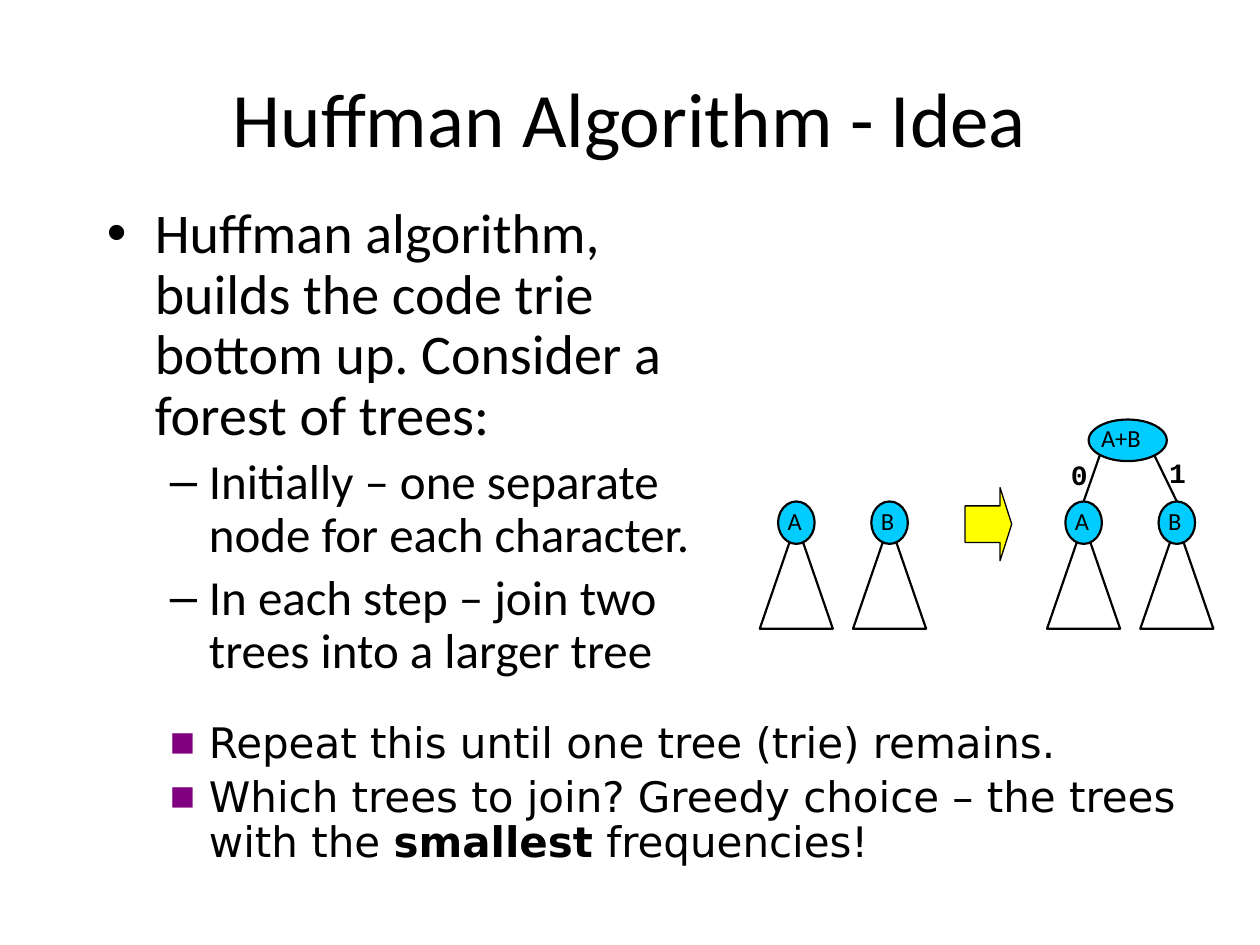
from dataclasses import dataclass

from lxml import etree
from pptx import Presentation
from pptx.dml.color import RGBColor
from pptx.enum.shapes import MSO_CONNECTOR, MSO_SHAPE
from pptx.enum.text import MSO_ANCHOR, MSO_AUTO_SIZE, PP_ALIGN
from pptx.oxml.ns import qn
from pptx.util import Inches, Pt

STRAIGHT = MSO_CONNECTOR.STRAIGHT
TRIANGLE, OVAL, ARROW = MSO_SHAPE.ISOSCELES_TRIANGLE, MSO_SHAPE.OVAL, MSO_SHAPE.RIGHT_ARROW
MIDDLE, CENTER = MSO_ANCHOR.MIDDLE, PP_ALIGN.CENTER
GROW, FIXED = MSO_AUTO_SIZE.SHAPE_TO_FIT_TEXT, MSO_AUTO_SIZE.NONE


@dataclass(frozen=True)
class Theme:
    ink: str = "000000"
    node: str = "00CCFF"
    arrow: str = "FFFF00"
    square: str = "800080"
    main: str = "Calibri"
    mono: str = "Courier New"
    sans: str = "DejaVu Sans"
    title: int = 44
    body: int = 32
    sub: int = 28
    note: int = 24
    label: int = 14
    bit: int = 16
    line: float = 1.25
    thin: float = 0.75


T = Theme()


def rgb(value):
    return RGBColor.from_string(value)


def add_run(p, text, size, font=T.main, bold=False):
    r = p.add_run()
    r.text = text
    r.font.size, r.font.name, r.font.bold = Pt(size), font, bold
    r.font.color.rgb = rgb(T.ink)


def add_text_frame(parent, box, auto_size=FIXED):
    tf = parent.shapes.add_textbox(*map(Inches, box)).text_frame
    tf.word_wrap = True
    tf.auto_size = auto_size
    return tf


def add_bullet(p, char, color, margin, hanging, before, level=0):
    p.level, p.line_spacing, p.space_before = level, 0.9, Pt(before)
    pPr = p._p.get_or_add_pPr()
    pPr.set("marL", str(Inches(margin)))
    pPr.set("indent", str(-Inches(hanging)))
    clr = etree.SubElement(pPr, qn("a:buClr"))
    etree.SubElement(clr, qn("a:srgbClr"), val=color)
    etree.SubElement(pPr, qn("a:buFont"), typeface="Arial")
    etree.SubElement(pPr, qn("a:buChar"), char=char)


def add_label(parent, box, text, size=T.label, font=T.main, bold=False):
    tf = add_text_frame(parent, box, GROW)
    add_run(tf.paragraphs[0], text, size, font, bold)


def add_figure(parent, kind, box, fill=None, width=T.line):
    sp = parent.shapes.add_shape(kind, *map(Inches, box))
    sp.shadow.inherit = False
    if fill:
        sp.fill.solid()
        sp.fill.fore_color.rgb = rgb(fill)
    else:
        sp.fill.background()
    sp.line.color.rgb = rgb(T.ink)
    sp.line.width = Pt(width)
    return sp


def add_branch(s, start, end):
    c = s.shapes.add_connector(STRAIGHT, *map(Inches, start + end))
    c.line.color.rgb = rgb(T.ink)
    c.line.width = Pt(T.line)
    etree.SubElement(c._element.spPr, qn("a:effectLst"))


def add_title(s, box, text):
    sp = s.shapes.title
    sp.left, sp.top, sp.width, sp.height = map(Inches, box)
    tf = sp.text_frame
    tf.vertical_anchor = MIDDLE
    p = tf.paragraphs[0]
    p.alignment = CENTER
    add_run(p, text, T.title)


def add_body(s, box, lead, steps):
    tf = add_text_frame(s, box)
    p = tf.paragraphs[0]
    add_bullet(p, "•", T.ink, 0.38, 0.38, 0)
    add_run(p, lead, T.body)
    for step in steps:
        p = tf.add_paragraph()
        add_bullet(p, "–", T.ink, 0.81, 0.31, 5.6, 1)
        add_run(p, step, T.sub)


def add_notes_block(s, box, items):
    tf = add_text_frame(s, box)
    tf.margin_top = Inches(0.54)
    for i, runs in enumerate(items):
        p = tf.add_paragraph() if i else tf.paragraphs[0]
        add_bullet(p, "■", T.square, 0.81, 0.31, 4.8 if i else 0, 1)
        for text, bold in runs:
            add_run(p, text, T.note, T.sans, bold)


def add_tree(s, box, name):
    x, y, w, h = box
    g = s.shapes.add_group_shape()
    add_figure(g, TRIANGLE, (x, y + h / 6, w, h * 5 / 6))
    add_figure(g, OVAL, (x + w / 4, y, w / 2, h / 3), T.node)
    add_label(g, (x + w * 0.21, y - 0.01, w * 0.59, h / 3), name)


def add_root(s, box, name):
    x, y, w, h = box
    g = s.shapes.add_group_shape()
    add_figure(g, OVAL, box, T.node)
    add_label(g, (x, y - 0.02, w + 0.1, h), name)


def add_join_diagram(s, box):
    x, y, w, h = box
    tree_w, tree_h, pitch = 0.58, 1.01, 0.74
    tree_y = y + h - tree_h
    joined_x = x + w - pitch - tree_w
    for left in (x, joined_x):
        for i, name in enumerate("AB"):
            add_tree(s, (left + i * pitch, tree_y, tree_w, tree_h), name)

    arrow = add_figure(s, ARROW, (x + 1.63, tree_y - 0.11, 0.37, 0.58), T.arrow, T.thin)
    arrow.adjustments[0], arrow.adjustments[1] = 0.5, 0.25

    branch_y = y + 0.28
    add_branch(s, (joined_x + 0.42, branch_y), (joined_x + tree_w / 2, tree_y))
    add_branch(s, (joined_x + 0.85, branch_y), (joined_x + pitch + tree_w / 2, tree_y))
    add_root(s, (joined_x + 0.33, y, 0.62, 0.33), "A+B")
    for bit, dx, dy in (("1", 0.87, 0.24), ("0", 0.09, 0.25)):
        add_label(s, (joined_x + dx, y + dy, 0.34, 0.37), bit, T.bit, T.mono, True)


def main():
    prs = Presentation()
    prs.slide_width, prs.slide_height = Inches(10), Inches(7.5)
    s = prs.slides.add_slide(prs.slide_layouts[5])
    add_title(s, (0.5, 0.3, 9, 1.25), "Huffman Algorithm - Idea")
    add_body(
        s,
        (0.75, 1.58, 5.28, 4.14),
        "Huffman algorithm, builds the code trie bottom up. Consider a forest of trees:",
        (
            "Initially – one separate node for each character.",
            "In each step – join two trees into a larger tree",
        ),
    )
    add_notes_block(
        s,
        (0.75, 5.19, 9.12, 1.95),
        (
            (("Repeat this until one tree (trie) remains.", False),),
            (
                ("Which trees to join? Greedy choice – the trees with the ", False),
                ("smallest", True),
                (" frequencies!", False),
            ),
        ),
    )
    add_join_diagram(s, (6.03, 3.33, 3.6, 1.66))
    prs.save("out.pptx")


if __name__ == "__main__":
    main()
